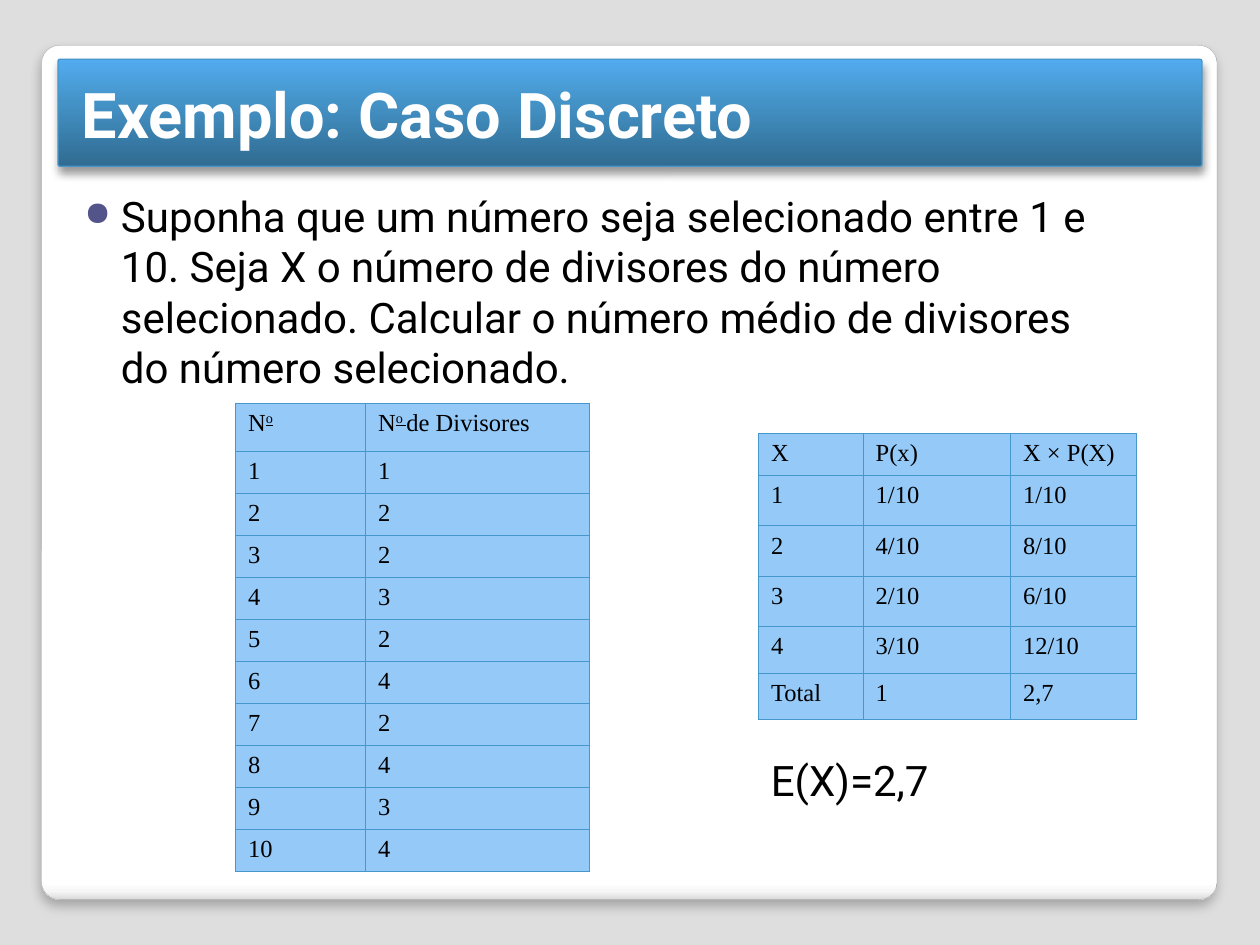
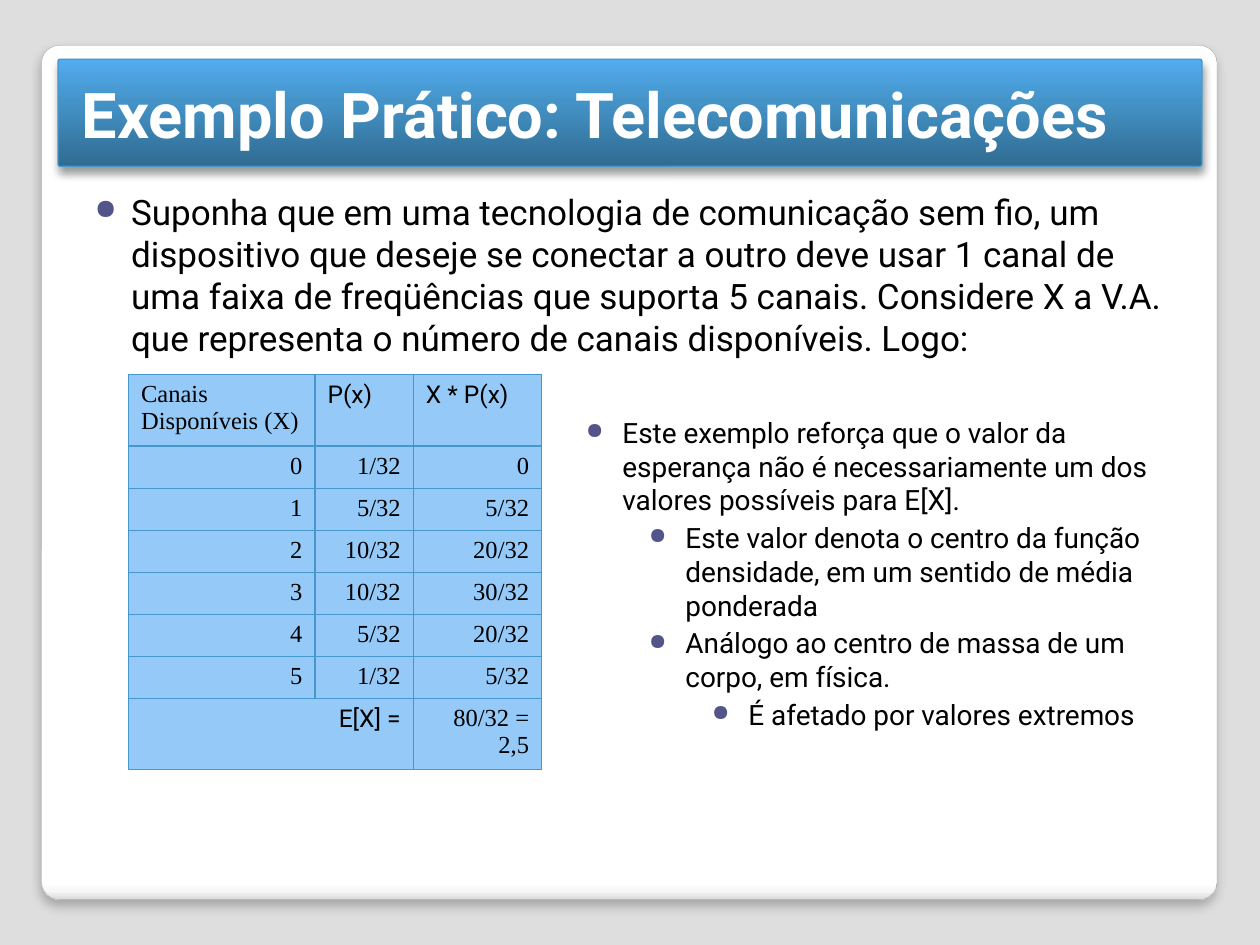
from lxml import etree
from pptx import Presentation
from pptx import util as u
from pptx.dml.color import RGBColor
from pptx.enum import shapes, text
from pptx.oxml import parse_xml
from pptx.oxml.ns import nsdecls, qn

# Shared look
BACKDROP, INK, TITLE_INK = "DEDEDE", "000000", "FFFFFF"
BULLET, RULE, CELL = "53548A", "4697CB", "94C9F8"
SANS, SERIF = "Roboto", "Times New Roman"
CORNER = 0.021
PANEL = dict(box=(0.33, 0.36, 9.33, 6.78), angle=90, line=("A4A4A4", 0.16),
             stops=[(0, "FFFFFF"), (98, "FFFFFF"), (99, "F7F7F7"), (100, "DADADA")],
             shadow=(25, 6, 4))
BAND = dict(box=(0.46, 0.47, 9.08, 0.85), angle=270, line=(RULE, 0.75),
            stops=[(0, "306B91"), (60, "4493C7"), (100, "53ACF0")],
            shadow=(40, 5.2, 3))
TITLE_BOX = (0.55, 0.47, 8.95, 0.86)
BULLET_INSETS = dict(margin_left=0.2, margin_top=0.1, margin_right=0.1, margin_bottom=0.05)
HANG, LEVEL_STEP = 0.29, 0.5


def color(hex_value):
    return RGBColor.from_string(hex_value)


def inches(values):
    return [u.Inches(value) for value in values]


def add_run(paragraph, words, size, face=SANS, ink=INK, raised=False, **style):
    run = paragraph.add_run()
    run.text = words
    for name, value in dict(style, size=u.Pt(size), name=face).items():
        setattr(run.font, name, value)
    run.font.color.rgb = color(ink)
    if raised:
        run.font._element.set("baseline", "30000")


def add_card(slide, box, stops, angle, line, shadow):
    """Rounded rectangle with a gradient and a soft shadow below it."""
    card = slide.shapes.add_shape(shapes.MSO_SHAPE.ROUNDED_RECTANGLE, *inches(box))
    card.adjustments[0] = CORNER
    card.line.color.rgb, card.line.width = color(line[0]), u.Pt(line[1])
    card.fill.background()
    card.shadow.inherit = False
    properties = card._element.spPr
    stop_xml = "".join(f'<a:gs pos="{place * 1000}"><a:srgbClr val="{tint}"/></a:gs>'
                       for place, tint in stops)
    gradient = parse_xml(f'<a:gradFill {nsdecls("a")} rotWithShape="1"><a:gsLst>{stop_xml}'
                         f'</a:gsLst><a:lin ang="{angle * 60000}" scaled="0"/></a:gradFill>')
    properties.replace(properties.find(qn("a:noFill")), gradient)
    alpha, blur, distance = shadow
    properties.find(qn("a:effectLst")).append(parse_xml(
        f'<a:outerShdw {nsdecls("a")} blurRad="{u.Pt(blur)}" dist="{u.Pt(distance)}" '
        f'dir="5400000" algn="t" rotWithShape="0"><a:srgbClr val="000000">'
        f'<a:alpha val="{alpha * 1000}"/></a:srgbClr></a:outerShdw>'))


def add_titled_slide(deck, heading):
    slide = deck.slides.add_slide(deck.slide_layouts[5])
    slide.background.fill.solid()
    slide.background.fill.fore_color.rgb = color(BACKDROP)
    for card in (PANEL, BAND):
        add_card(slide, **card)
    title = slide.shapes.title
    title.left, title.top, title.width, title.height = inches(TITLE_BOX)
    title.text_frame.vertical_anchor = text.MSO_ANCHOR.MIDDLE
    paragraph = title.text_frame.paragraphs[0]
    paragraph.alignment = text.PP_ALIGN.LEFT
    add_run(paragraph, heading, 36, ink=TITLE_INK, bold=True)
    slide.shapes._spTree.append(title._element)  # bring in front of the band
    return slide


def add_bullets(slide, box, size, items):
    """Bulleted text; items are (level, words)."""
    frame = slide.shapes.add_textbox(*inches(box)).text_frame
    frame.word_wrap = True
    for name, value in BULLET_INSETS.items():
        setattr(frame, name, u.Inches(value))
    for index, (level, words) in enumerate(items):
        paragraph = frame.add_paragraph() if index else frame.paragraphs[0]
        paragraph.level = level
        paragraph.space_before = u.Pt(2.5)
        add_run(paragraph, words, size)
        properties = paragraph._p.get_or_add_pPr()
        properties.set("marL", str(u.Inches(HANG + level * LEVEL_STEP)))
        properties.set("indent", str(u.Inches(-HANG)))
        bullet_color = etree.SubElement(properties, qn("a:buClr"))
        etree.SubElement(bullet_color, qn("a:srgbClr"), val=BULLET)
        etree.SubElement(properties, qn("a:buSzPct"), val="80000")
        etree.SubElement(properties, qn("a:buChar"), char="●")


def style_cell(cell):
    cell.fill.solid()
    cell.fill.fore_color.rgb = color(CELL)
    for index, side in enumerate(("lnL", "lnR", "lnT", "lnB")):
        cell._tc.get_or_add_tcPr().insert(index, parse_xml(
            f'<a:{side} {nsdecls("a")} w="{u.Pt(0.75)}"><a:solidFill>'
            f'<a:srgbClr val="{RULE}"/></a:solidFill></a:{side}>'))


def add_grid(slide, corner, widths, heights, rows, sans_words=(), align_right=False):
    """Table whose cells hold a string or a list of (words, style) runs."""
    table = slide.shapes.add_table(len(rows), len(widths), *inches(corner),
                                   *inches((sum(widths), sum(heights)))).table
    table.first_row = table.horz_banding = False
    for column, width in zip(table.columns, widths):
        column.width = u.Inches(width)
    for row_index, (row, height) in enumerate(zip(rows, heights)):
        table.rows[row_index].height = u.Inches(height)
        for column_index, content in enumerate(row):
            cell = table.cell(row_index, column_index)
            style_cell(cell)
            paragraph = cell.text_frame.paragraphs[0]
            if align_right and row_index:
                paragraph.alignment = text.PP_ALIGN.RIGHT
            runs = [(content, {})] if isinstance(content, str) else content
            for words, style in runs:
                if words:
                    add_run(paragraph, words, 14, SANS if words in sans_words else SERIF, **style)
    return table


def add_discrete_case(deck):
    slide = add_titled_slide(deck, "Exemplo: Caso Discreto")
    add_bullets(slide, (0.47, 1.41, 8.5, 1.98), 24, [
        (0, "Suponha que um número seja selecionado entre 1 e 10. Seja X o número de "
            "divisores do número selecionado. Calcular o número médio de divisores do "
            "número selecionado.")])

    # Divisors of each number
    raised = dict(raised=True, underline=True)
    header = [[("N", {}), ("o", raised)],
              [("N", {}), ("o ", raised), ("de Divisores", {})]]
    divisors = [1, 2, 2, 3, 2, 4, 2, 4, 3, 4]
    counts = [(str(number), str(count)) for number, count in enumerate(divisors, 1)]
    add_grid(slide, (1.87, 3.2), (1.03, 1.78), [0.38] + [0.3] * 10, [header] + counts)

    # Distribution of X
    add_grid(slide, (6.02, 3.44), (0.83, 1.17, 1), (0.33, 0.4, 0.4, 0.4, 0.37, 0.37), [
        ("X", "P(x)", "X × P(X)"),
        ("1", "1/10", "1/10"),
        ("2", "4/10", "8/10"),
        ("3", "2/10", "6/10"),
        ("4", "3/10", "12/10"),
        ("Total", "1", "2,7")])

    # Expected value
    expectation = slide.shapes.add_textbox(*inches((6.02, 5.94, 1.47, 0.5))).text_frame
    expectation.word_wrap = False
    add_run(expectation.paragraphs[0], "E(X)=2,7", 24)


def add_telecom_case(deck):
    slide = add_titled_slide(deck, "Exemplo Prático: Telecomunicações")
    add_bullets(slide, (0.55, 1.41, 8.95, 5.31), 20, [
        (0, "Suponha que em uma tecnologia de comunicação sem fio, um dispositivo que deseje "
            "se conectar a outro deve usar 1 canal de uma faixa de freqüências que suporta 5 "
            "canais. Considere X a V.A. que representa o número de canais disponíveis. Logo:")])

    # Distribution of the available channels
    channels = add_grid(slide, (1.02, 2.97), (1.48, 0.78, 1.02), [0.57] + [0.3] * 7, [
        ("Canais Disponíveis (X)", "P(x)", "X * P(x)"),
        ("0", "1/32", "0"),
        ("1", "5/32", "5/32"),
        ("2", "10/32", "20/32"),
        ("3", "10/32", "30/32"),
        ("4", "5/32", "20/32"),
        ("5", "1/32", "5/32"),
        ("E[X] =", "", "80/32 = 2,5")],
        sans_words=("P(x)", "X * P(x)", "E[X] ="), align_right=True)
    channels.cell(7, 0).merge(channels.cell(7, 1))

    # Reading of the result
    add_bullets(slide, (4.45, 3.2, 4.92, 3.2), 16, [
        (0, "Este exemplo reforça que o valor da esperança não é necessariamente um dos "
            "valores possíveis para E[X]."),
        (1, "Este valor denota o centro da função densidade, em um sentido de média ponderada"),
        (1, "Análogo ao centro de massa de um corpo, em física."),
        (2, "É afetado por valores extremos")])


def main():
    deck = Presentation()
    deck.slide_width, deck.slide_height = inches((10, 7.5))
    add_discrete_case(deck)
    add_telecom_case(deck)
    deck.save("out.pptx")


if __name__ == "__main__":
    main()
